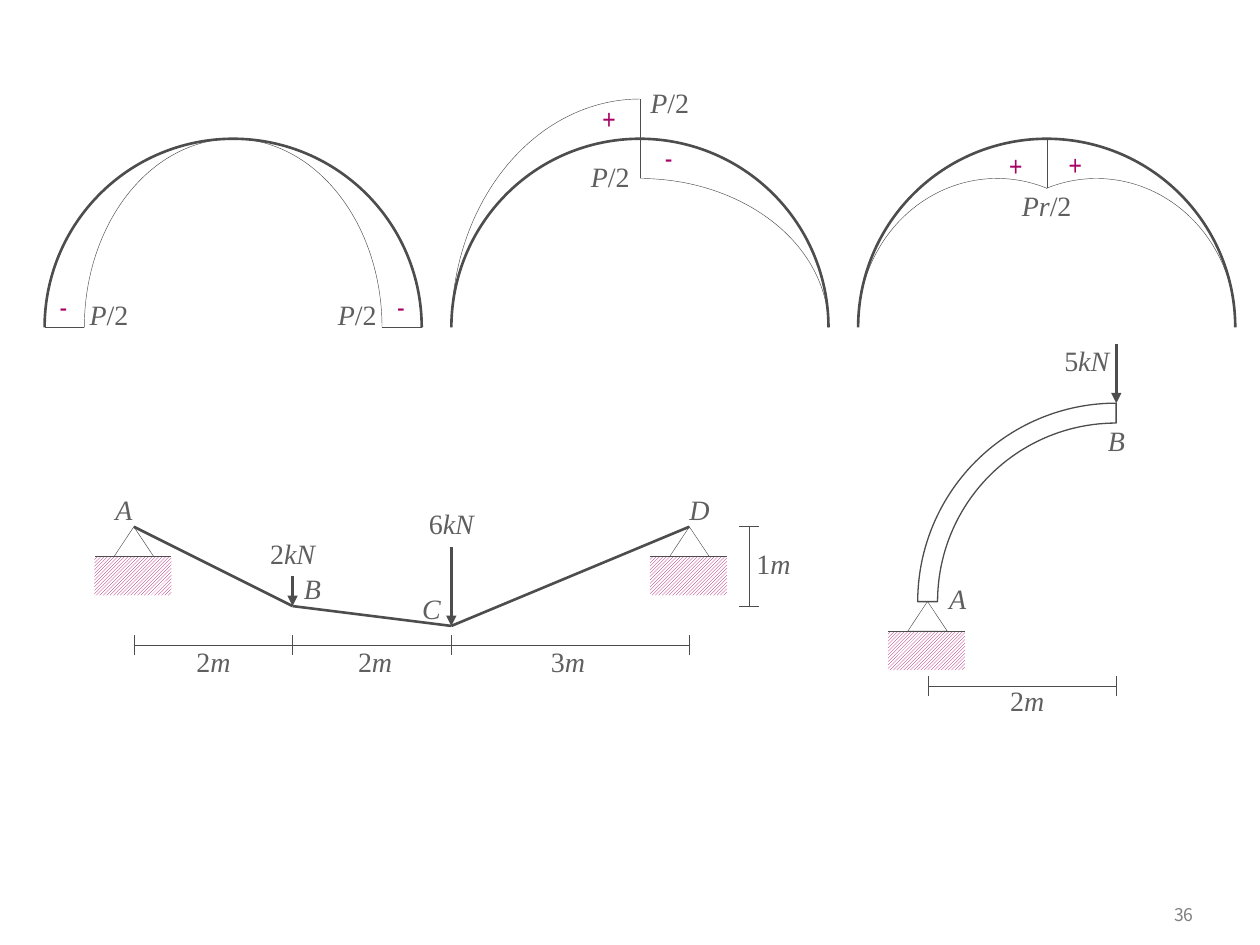
from dataclasses import dataclass
from itertools import groupby
from typing import NamedTuple

import pptx
import pptx.dml.color
import pptx.enum.dml
import pptx.enum.shapes
import pptx.enum.text
import pptx.oxml
import pptx.util
from pptx.oxml.ns import qn

Pt = pptx.util.Pt
KIND = pptx.enum.shapes.MSO_SHAPE
ALIGN = pptx.enum.text.PP_ALIGN
MIDDLE = pptx.enum.text.MSO_ANCHOR.MIDDLE


@dataclass(frozen=True)
class Theme:
    ink: str = "4D4D4D"
    text: str = "5F5F5F"
    sign: str = "A90165"
    page: str = "808080"
    paper: str = "FFFFFF"
    serif: str = "Times New Roman"
    narrow: str = "Arial Narrow"
    sans: str = "Noto Sans CJK KR"
    body: float = 16
    small: float = 10
    thin: float = 0.25
    mid: float = 0.75
    bold: float = 1.5


LOOK = Theme()


class Box(NamedTuple):
    x: float
    y: float
    w: float
    h: float


class Arc(NamedTuple):
    box: Box
    start: float
    end: float
    width: float = LOOK.thin
    ring: float = 0  # thickness as a share of the size


class Line(NamedTuple):
    x1: float
    y1: float
    x2: float
    y2: float
    width: float = LOOK.thin
    arrow: bool = False


class Label(NamedTuple):
    text: str
    box: Box


class Sign(NamedTuple):
    text: str
    x: float
    y: float


class Prop(NamedTuple):
    x: float
    y: float


def tint(code: str):
    return pptx.dml.color.RGBColor.from_string(code)


def style(font, name: str, size: float, code: str) -> None:
    font.name, font.size = name, Pt(size)
    font.color.rgb = tint(code)


def add(shapes, kind, box: Box, width: float = 0):
    """Add an unfilled preset shape, outlined if a width is given."""
    item = shapes.add_shape(kind, *map(Pt, box))
    item.shadow.inherit = False
    item.fill.background()
    if width:
        item.line.color.rgb = tint(LOOK.ink)
        item.line.width = Pt(width)
    else:
        item.line.fill.background()
    return item


def bare(frame) -> None:
    frame.margin_left = frame.margin_right = 0
    frame.margin_top = frame.margin_bottom = 0


def draw_arc(shapes, arc: Arc) -> None:
    kind = KIND.BLOCK_ARC if arc.ring else KIND.ARC
    item = add(shapes, kind, arc.box, arc.width)
    item.adjustments[0] = arc.start * 0.6
    item.adjustments[1] = arc.end * 0.6
    if arc.ring:
        item.adjustments[2] = arc.ring


def draw_line(shapes, line: Line) -> None:
    ends = map(Pt, line[:4])
    item = shapes.add_connector(pptx.enum.shapes.MSO_CONNECTOR.STRAIGHT, *ends)
    item.line.color.rgb = tint(LOOK.ink)
    item.line.width = Pt(line.width)
    if line.arrow:
        tail = pptx.oxml.xmlchemy.OxmlElement("a:tailEnd")
        tail.set("type", "triangle")
        item.line._get_or_add_ln().append(tail)
    props = item._element.spPr
    props.append(props.makeelement(qn("a:effectLst"), {}))


def draw_label(shapes, label: Label) -> None:
    frame = shapes.add_textbox(*map(Pt, label.box)).text_frame
    frame.word_wrap = True
    bare(frame)
    para = frame.paragraphs[0]
    para.alignment = ALIGN.CENTER
    style(para.font, LOOK.serif, LOOK.body, LOOK.text)
    # Letters are italic, digits and slashes upright
    for slant, part in groupby(label.text, str.isalpha):
        run = para.add_run()
        run.text = "".join(part)
        run.font.italic = slant


def draw_sign(shapes, sign: Sign) -> None:
    frame = add(shapes, KIND.OVAL, Box(sign.x, sign.y, 10.2, 10.2)).text_frame
    frame.word_wrap = False
    frame.vertical_anchor = MIDDLE
    bare(frame)
    para = frame.paragraphs[0]
    para.text, para.alignment = sign.text, ALIGN.CENTER
    style(para.font, LOOK.narrow, LOOK.body, LOOK.sign)


def draw_prop(shapes, prop: Prop) -> None:
    x, y = prop.x - 22.5, prop.y + 17
    fill = add(shapes, KIND.RECTANGLE, Box(x, y, 44, 22.2)).fill
    fill.patterned()
    fill.pattern = pptx.enum.dml.MSO_PATTERN.LIGHT_UPWARD_DIAGONAL
    fill.fore_color.rgb = tint(LOOK.sign)
    fill.back_color.rgb = tint(LOOK.paper)
    draw_line(shapes, Line(x, y, x + 44, y))
    add(shapes, KIND.ISOSCELES_TRIANGLE, Box(prop.x - 11.3, prop.y, 22.6, 17), LOOK.thin)


def scale(xs: list[float], y: float) -> list[Line]:
    """Dimension line with a tick at each stop."""
    ticks = [Line(x, y + 5.7, x, y - 5.7) for x in xs]
    return [Line(xs[0], y, xs[-1], y), *ticks]


DRAW = {Arc: draw_arc, Line: draw_line, Label: draw_label, Sign: draw_sign, Prop: draw_prop}

# Half-circle arches: shared size and spacing
TOP, SPAN, FOOT, STEP = 79.3, 215.5, 187, 22.7
LEFT = [25.5 + 232.45 * i for i in range(3)]
ARCH = [Arc(Box(x, TOP, SPAN, SPAN), 180, 0, LOOK.bold) for x in LEFT]
MID = [x + SPAN / 2 for x in LEFT]

# Axial force
inner = Box(LEFT[0] + STEP, TOP, SPAN - 2 * STEP, SPAN)
far = LEFT[0] + SPAN
axial = [
    ARCH[0], Arc(inner, 180, 270), Arc(inner, 270, 0),
    Line(LEFT[0] + STEP, FOOT, LEFT[0], FOOT), Line(far, FOOT, far - STEP, FOOT),
    Label("P/2", Box(48.2, 170, 28.3, 20)), Label("P/2", Box(190, 170, 28.3, 20)),
    Sign("-", 31.2, 170), Sign("-", 224, 170),
]

# Shear force
shear = [
    ARCH[1],
    Arc(Box(LEFT[1], TOP + STEP, SPAN, 170), 270, 0),
    Arc(Box(LEFT[1], TOP - STEP, SPAN, 260.8), 180, 270),
    Line(MID[1], TOP + STEP, MID[1], TOP), Line(MID[1], TOP, MID[1], TOP - STEP),
    Label("P/2", Box(365.7, 48.9, 34, 20)), Label("P/2", Box(331.7, 91, 34, 20)),
    Sign("-", 377, 85), Sign("+", 343, 62.4),
]

# Bending moment
moment = [
    ARCH[2],
    Arc(Box(LEFT[2], TOP + STEP, 158.7, 168), 180, 290),
    Arc(Box(LEFT[2] + SPAN - 158.7, TOP + STEP, 158.7, 168), 250, 0),
    Line(MID[2], 107.7, MID[2], TOP + 0.5),
    Label("Pr/2", Box(581.1, 108, 34, 20)), Sign("+", 609.4, 88.7), Sign("+", 575.4, 89.2),
]

# Loaded cable: stops at 0, 2, 4 and 7 metres
METRE, HIGH = 45.35, 301
stops = [76.5 + METRE * m for m in (0, 2, 4, 7)]
depth = [HIGH, HIGH + METRE, HIGH + 1.25 * METRE, HIGH]
nodes = list(zip(stops, depth))
cable = [
    Prop(*nodes[0]), Prop(*nodes[3]),
    *(Line(*a, *b, LOOK.bold) for a, b in zip(nodes, nodes[1:])),
    Line(stops[1], 329, *nodes[1], LOOK.bold, True),
    Line(stops[2], 312.4, *nodes[2], LOOK.bold, True),
    *scale(stops, 368.5),
    Line(428, HIGH + METRE, 428, HIGH),
    *(Line(422.5, y, 433.5, y) for y in (HIGH + METRE, HIGH)),
    Label("1m", Box(428, 312.4, 28, 22)), Label("2m", Box(110.6, 368.5, 22.7, 22)),
    Label("2m", Box(201.6, 368.5, 25.5, 22)), Label("3m", Box(309, 368.5, 31, 22)),
    Label("2kN", Box(150.2, 306.7, 34, 17)), Label("6kN", Box(240.9, 289.7, 34, 17)),
    Label("A", Box(59.5, 281.3, 22.7, 19.8)), Label("B", Box(167.2, 326.6, 22.7, 19.8)),
    Label("C", Box(235.2, 338, 22.7, 19.8)), Label("D", Box(388.4, 281.3, 22.7, 19.8)),
]

# Quarter arch
TIP = 637.9
quarter = [
    Prop(530, 343.7), *scale([530.3, TIP], 392.2),
    Line(TIP, 196.4, TIP, 230.4, LOOK.bold, True),
    Arc(Box(524.4, 230.4, 226.8, 226.8), 180, 270, LOOK.mid, 0.05),
    Label("2m", Box(575.5, 390.8, 23, 21)), Label("5kN", Box(604, 196.4, 34, 20)),
    Label("A", Box(535.7, 332.4, 23, 21)), Label("B", Box(626.4, 242, 23, 21)),
]


def main() -> None:
    deck = pptx.Presentation()
    deck.slide_width, deck.slide_height = Pt(720), Pt(540)
    slide = deck.slides.add_slide(deck.slide_layouts[6])
    for figure in (shear, axial, moment, cable, quarter):
        group = slide.shapes.add_group_shape()
        for part in figure:
            DRAW[type(part)](group.shapes, part)

    # Page number
    frame = slide.shapes.add_textbox(Pt(638), Pt(510.5), Pt(51), Pt(24)).text_frame
    frame.word_wrap, frame.vertical_anchor = True, MIDDLE
    para = frame.paragraphs[0]
    para.text, para.alignment = "36", ALIGN.RIGHT
    style(para.font, LOOK.sans, LOOK.small, LOOK.page)
    deck.save("out.pptx")


if __name__ == "__main__":
    main()
